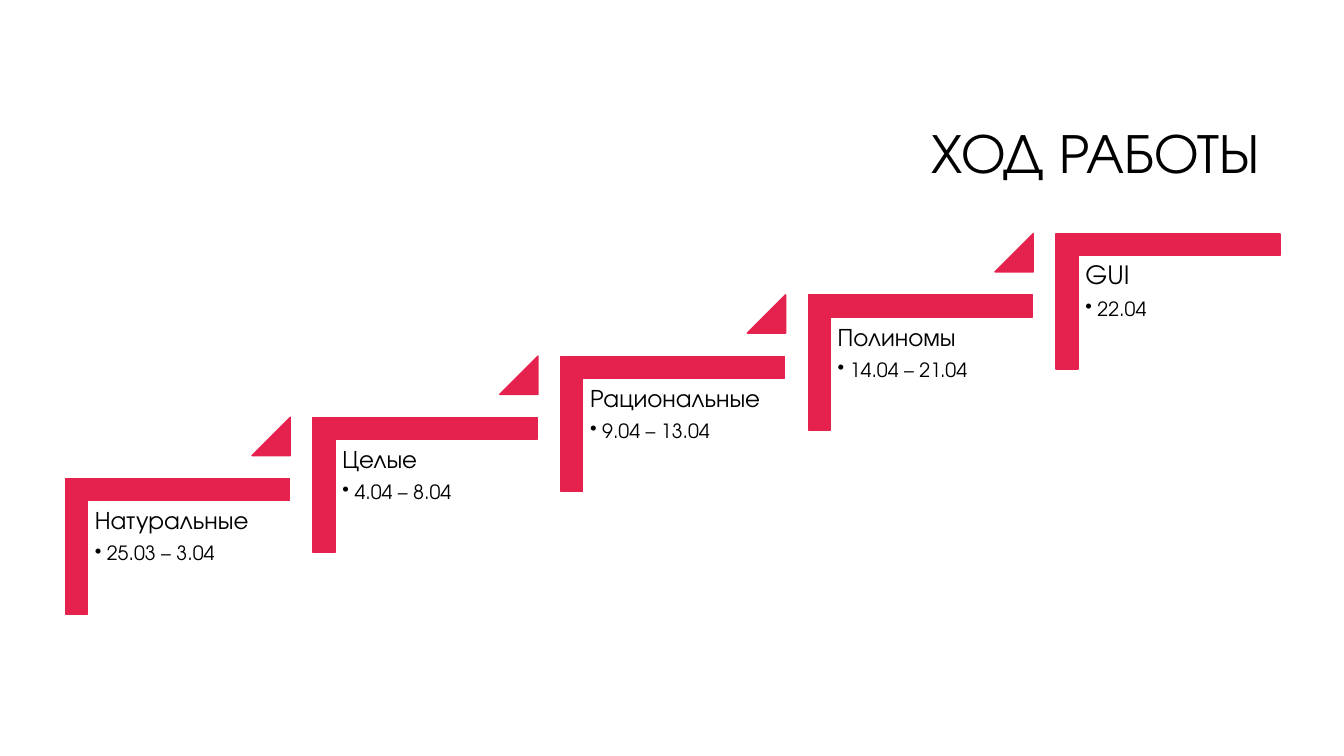
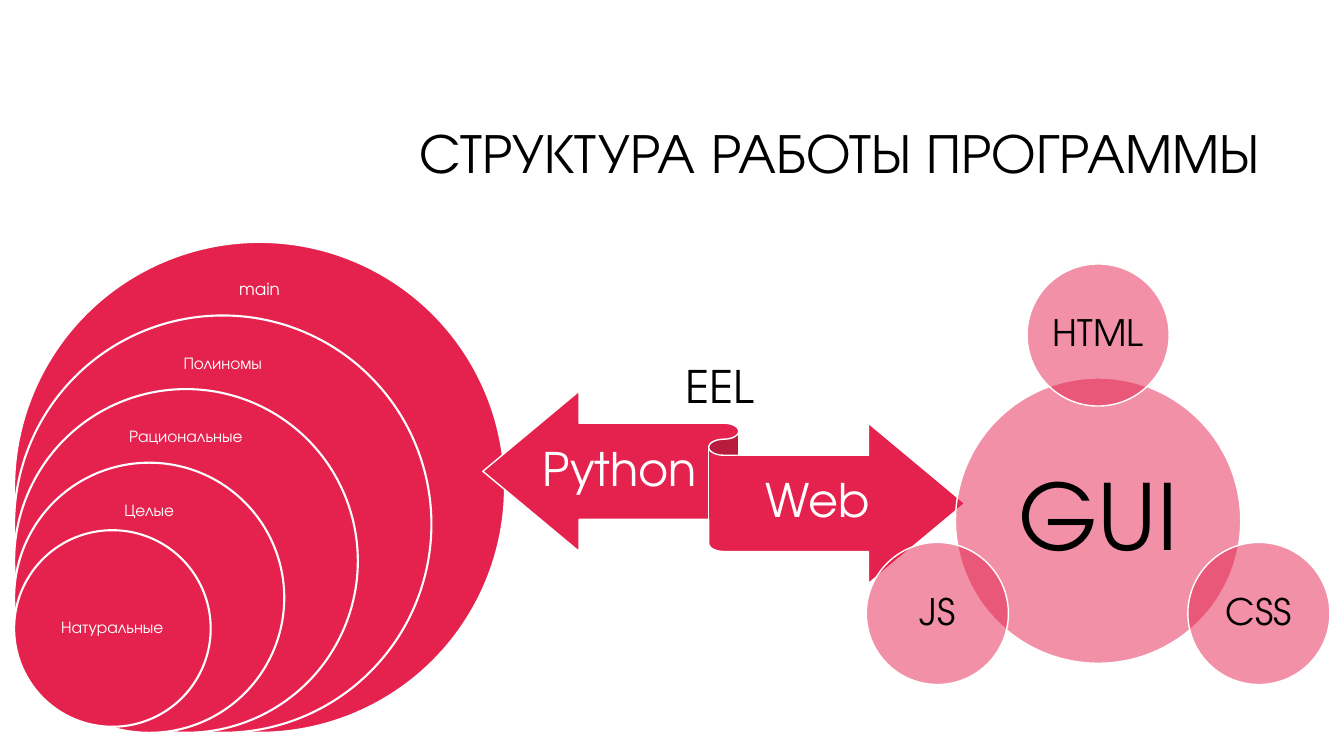
import dataclasses
import math

import lxml.etree
import pptx
import pptx.dml.color
import pptx.enum.shapes
import pptx.enum.text
import pptx.oxml.ns
import pptx.util

Pt = pptx.util.Pt
qn = pptx.oxml.ns.qn
SHAPE = pptx.enum.shapes.MSO_SHAPE
ALIGN = pptx.enum.text.PP_ALIGN
ANCHOR = pptx.enum.text.MSO_ANCHOR

# Shared style
FONT = "TeX Gyre Adventor"
COLORS = {"accent": "E5224E", "white": "FFFFFF", "black": "000000"}


@dataclasses.dataclass(frozen=True)
class Box:
    left: float
    top: float
    width: float
    height: float

    def lengths(self) -> tuple:
        return Pt(self.left), Pt(self.top), Pt(self.width), Pt(self.height)


@dataclasses.dataclass(frozen=True)
class Line:
    text: str
    size: float
    color: str = "black"
    align: ALIGN = ALIGN.CENTER
    spacing: float = 0.9
    after: float = 0.35  # share of the text size
    bullet: bool = False


@dataclasses.dataclass(frozen=True)
class Step:
    name: str
    dates: str


@dataclasses.dataclass(frozen=True)
class Layer:
    name: str
    label_top: float
    label_height: float
    lift: float = 0


@dataclasses.dataclass(frozen=True)
class Satellite:
    name: str
    angle: float


def rgb(name: str) -> pptx.dml.color.RGBColor:
    return pptx.dml.color.RGBColor.from_string(COLORS[name])


def add_figure(slide, kind: SHAPE, box: Box, line: str, line_width: float,
               adjustments: tuple = (), rotation: float = 0, opacity: int = 100) -> None:
    s = slide.shapes.add_shape(kind, *box.lengths())
    s.shadow.inherit = False
    s.rotation = rotation
    for i, value in enumerate(adjustments):
        s.adjustments[i] = value
    s.fill.solid()
    s.fill.fore_color.rgb = rgb("accent")
    s.line.color.rgb = rgb(line)
    s.line.width = Pt(line_width)
    if opacity < 100:
        color = s._element.spPr.find(qn("a:solidFill")).find(qn("a:srgbClr"))
        lxml.etree.SubElement(color, qn("a:alpha")).set("val", str(opacity * 1000))


def add_bullet(p) -> None:
    props = p._p.get_or_add_pPr()
    props.set("marL", str(Pt(8.64)))
    props.set("indent", str(-Pt(8.64)))
    lxml.etree.SubElement(props, qn("a:buChar")).set("char", "•")


def add_text(slide, box: Box, lines: list[Line], anchor: ANCHOR = ANCHOR.MIDDLE,
             inset_x: float = 0, inset_y: float = 0) -> None:
    tf = slide.shapes.add_textbox(*box.lengths()).text_frame
    tf.word_wrap = True
    tf.vertical_anchor = anchor
    tf.margin_left = tf.margin_right = Pt(inset_x)
    tf.margin_top = tf.margin_bottom = Pt(inset_y)
    for i, line in enumerate(lines):
        p = tf.add_paragraph() if i else tf.paragraphs[0]
        p.alignment = line.align
        p.line_spacing = line.spacing
        p.space_after = Pt(round(line.size * line.after, 2))
        if line.bullet:
            add_bullet(p)
        r = p.add_run()
        r.text = line.text
        r.font.name = FONT
        r.font.size = Pt(line.size)
        r.font.color.rgb = rgb(line.color)


def add_titled_slide(prs, title: str):
    slide = prs.slides.add_slide(prs.slide_layouts[6])
    add_text(slide, Box(228.24, 60.48, 678.24, 101.52),
             [Line(title, 40, align=ALIGN.RIGHT, after=0)], inset_x=7.2, inset_y=3.6)
    return slide


def circle(cx: float, cy: float, diameter: float) -> Box:
    return Box(cx - diameter / 2, cy - diameter / 2, diameter, diameter)


def add_bubble(slide, box: Box, name: str, size: float) -> None:
    add_figure(slide, SHAPE.OVAL, box, "white", 1, opacity=50)
    add_text(slide, box, [Line(name, size)])


prs = pptx.Presentation()
prs.slide_width, prs.slide_height = Pt(960), Pt(540)

# Slide 1: staircase of stages
STEPS = [
    Step("Натуральные", "25.03 – 3.04"),
    Step("Целые", "4.04 – 8.04"),
    Step("Рациональные", "9.04 – 13.04"),
    Step("Полиномы", "14.04 – 21.04"),
    Step("GUI", "22.04"),
]
STEP_X, STEP_Y = 176.9, -43.74

slide = add_titled_slide(prs, "ХОД РАБОТЫ")
for i, step in enumerate(STEPS):
    dx, dy = i * STEP_X, i * STEP_Y
    add_figure(slide, SHAPE.CORNER, Box(78.48 + dx, 310.32 + dy, 96.48, 159.84),
               "accent", 1, (0.161, 0.161), rotation=90)
    add_text(slide, Box(62.64 + dx, 357.84 + dy, 144.72, 126.72), [
        Line(step.name, 18, align=ALIGN.LEFT),
        Line(step.dates, 14, align=ALIGN.LEFT, after=0.15, bullet=True),
    ], ANCHOR.TOP, 5.04, 5.04)
    if i < len(STEPS) - 1:
        add_figure(slide, SHAPE.ISOSCELES_TRIANGLE,
                   Box(180 + dx, 298.08 + dy, 27.36, 27.36), "accent", 1, (1,))

# Slide 2: nested modules, bridge and interface
LAYERS = [
    Layer("main", 17.28, 34.56),
    Layer("Полиномы", 17.28, 34.56),
    Layer("Рациональные", 16.92, 34.56),
    Layer("Целые", 17.28, 34.56),
    Layer("Натуральные", 35.28, 69.84, lift=4.32),
]
LAYER_LEFT, LAYER_BOTTOM = 10.08, 523.44
LAYER_SIZE, LAYER_STEP = 350.64, 52.56
LABEL_WIDTH = 126

slide = add_titled_slide(prs, "СТРУКТУРА РАБОТЫ ПРОГРАММЫ")
for i, layer in enumerate(LAYERS):
    size = LAYER_SIZE - i * LAYER_STEP
    top = LAYER_BOTTOM - layer.lift - size
    add_figure(slide, SHAPE.OVAL, Box(LAYER_LEFT, top, size, size), "white", 1.5)
    add_text(slide, Box(LAYER_LEFT + (size - LABEL_WIDTH) / 2, top + layer.label_top,
                        LABEL_WIDTH, layer.label_height),
             [Line(layer.name, 12, "white")])

# Two-way ribbon
add_figure(slide, SHAPE.LEFT_RIGHT_RIBBON, Box(344.88, 279.36, 344.16, 137.52), "white", 1)
add_text(slide, Box(385.92, 303.12, 113.76, 67.68), [Line("Python", 33, "white")])
add_text(slide, Box(516.96, 325.44, 133.92, 67.68), [Line("Web", 33, "white")])

# Interface hub with satellites
HUB_X, HUB_Y, ORBIT = 784.4, 371.9, 132.6
SATELLITES = [Satellite("HTML", -90), Satellite("CSS", 30), Satellite("JS", 150)]

add_bubble(slide, circle(HUB_X, HUB_Y, 203.76), "GUI", 65)
for satellite in SATELLITES:
    angle = math.radians(satellite.angle)
    add_bubble(slide, circle(HUB_X + ORBIT * math.cos(angle),
                             HUB_Y + ORBIT * math.sin(angle), 101.52), satellite.name, 26)

add_text(slide, Box(482.4, 252.72, 236.16, 46.08),
         [Line("EEL", 32, align=ALIGN.LEFT, spacing=1.0, after=0)], ANCHOR.TOP, 7.2, 3.6)

prs.save("out.pptx")
